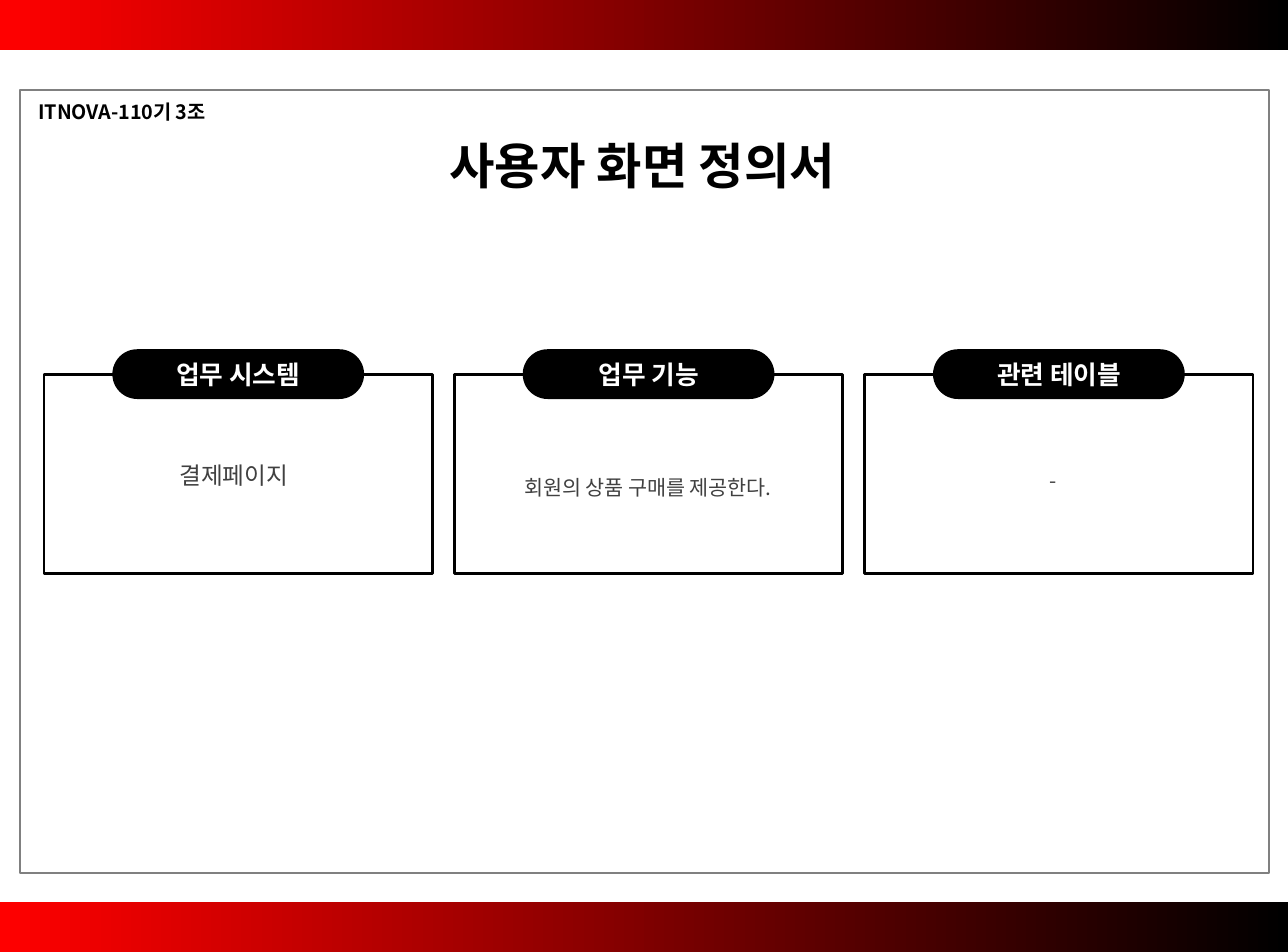
import pptx
import pptx.util
import pptx.dml.color
import pptx.enum.shapes
import pptx.enum.text
import pptx.oxml.ns
import lxml.etree

Inches = pptx.util.Inches
Pt = pptx.util.Pt
Shapes = pptx.enum.shapes.MSO_SHAPE
Align = pptx.enum.text.PP_ALIGN
Anchor = pptx.enum.text.MSO_ANCHOR

# Content
TITLE = "사용자 화면 정의서"
TEAM = "ITNOVA-110기 3조"
# heading, body text, body size, body left, body top
CARDS = [
    ("업무 시스템", "결제페이지", 12, 0.28, 3.19),
    ("업무 기능", "회원의 상품 구매를 제공한다.", 10.5, 3.19, 3.29),
    ("관련 테이블", "-", 10.5, 6.04, 3.24),
]

# Style and measures in inches; the page is 23 by 17 cm
FONT = "Noto Sans CJK KR"
COLORS = {"black": "000000", "white": "FFFFFF", "red": "FF0000",
          "body": "404040", "frame": "808080"}
SLIDE_WIDTH, SLIDE_HEIGHT = pptx.util.Cm(23).inches, pptx.util.Cm(17).inches
BAR_HEIGHT = 0.35
CARD_LEFT, CARD_TOP, CARD_WIDTH, CARD_HEIGHT = 0.31, 2.63, 2.73, 1.4
CARD_GAP = 0.155
LABEL_WIDTH, LABEL_HEIGHT = 1.77, 0.35


def color(name):
    return pptx.dml.color.RGBColor.from_string(COLORS[name])


def write(shape, text, size, color_name, bold=False, align=Align.CENTER,
          anchor=Anchor.TOP, inset=(0.09, 0.04)):
    frame = shape.text_frame
    frame.word_wrap = True
    frame.auto_size = pptx.enum.text.MSO_AUTO_SIZE.NONE
    frame.vertical_anchor = anchor
    frame.margin_left = frame.margin_right = Inches(inset[0])
    frame.margin_top = frame.margin_bottom = Inches(inset[1])
    paragraph = frame.paragraphs[0]
    paragraph.text = text
    paragraph.alignment = align
    font = paragraph.font
    font.size, font.bold, font.name = Pt(size), bold, FONT
    font.color.rgb = color(color_name)
    # Korean glyphs take the East Asian typeface
    properties = paragraph._p.pPr.find(pptx.oxml.ns.qn("a:defRPr"))
    east_asian = lxml.etree.SubElement(properties, pptx.oxml.ns.qn("a:ea"))
    east_asian.set("typeface", FONT)


def add_shape(slide, kind, box, fill=None, line=None, line_width=1):
    shape = slide.shapes.add_shape(kind, *map(Inches, box))
    shape.shadow.inherit = False
    if fill:
        shape.fill.solid()
        shape.fill.fore_color.rgb = color(fill)
    else:
        shape.fill.background()
    if line:
        shape.line.color.rgb = color(line)
        shape.line.width = Pt(line_width)
    else:
        shape.line.fill.background()
    return shape


def add_text(slide, box, *args, **options):
    write(slide.shapes.add_textbox(*map(Inches, box)), *args, **options)


def add_card(slide, index, heading, body, size, body_left, body_top):
    left = CARD_LEFT + index * (CARD_WIDTH + CARD_GAP)
    add_shape(slide, Shapes.RECTANGLE, (left, CARD_TOP, CARD_WIDTH, CARD_HEIGHT),
              line="black", line_width=1.5)
    label_box = (left + (CARD_WIDTH - LABEL_WIDTH) / 2,
                 CARD_TOP - LABEL_HEIGHT / 2, LABEL_WIDTH, LABEL_HEIGHT)
    label = add_shape(slide, Shapes.ROUNDED_RECTANGLE, label_box, fill="black")
    label.adjustments[0] = 0.5
    write(label, heading, 13, "white", bold=True, anchor=Anchor.MIDDLE)
    add_text(slide, (body_left, body_top, CARD_WIDTH, 0.3), body, size, "body",
             inset=(0.1, 0.05))


def add_bar(slide, top):
    bar = add_shape(slide, Shapes.RECTANGLE, (0, top, SLIDE_WIDTH, BAR_HEIGHT))
    bar.fill.gradient()
    bar.fill.gradient_angle = 0
    for stop, name in zip(bar.fill.gradient_stops, ("red", "black")):
        stop.color.rgb = color(name)


def main():
    presentation = pptx.Presentation()
    presentation.slide_width = Inches(SLIDE_WIDTH)
    presentation.slide_height = Inches(SLIDE_HEIGHT)
    slide = presentation.slides.add_slide(presentation.slide_layouts[5])

    # Title
    title = slide.shapes.title
    title.left, title.top, title.width, title.height = map(
        Inches, (2.17, 0.91, 4.69, 0.51))
    write(title, TITLE, 25, "black", bold=True)

    # Cards
    for index, card in enumerate(CARDS):
        add_card(slide, index, *card)

    # Bars, frame and team name
    for top in (SLIDE_HEIGHT - BAR_HEIGHT, 0):
        add_bar(slide, top)
    add_shape(slide, Shapes.RECTANGLE, (0.14, 0.63, 8.78, 5.51), line="frame")
    add_text(slide, (0.18, 0.66, 4.03, 0.26), TEAM, 10, "black", bold=True,
             align=Align.LEFT)

    presentation.save("out.pptx")


if __name__ == "__main__":
    main()
